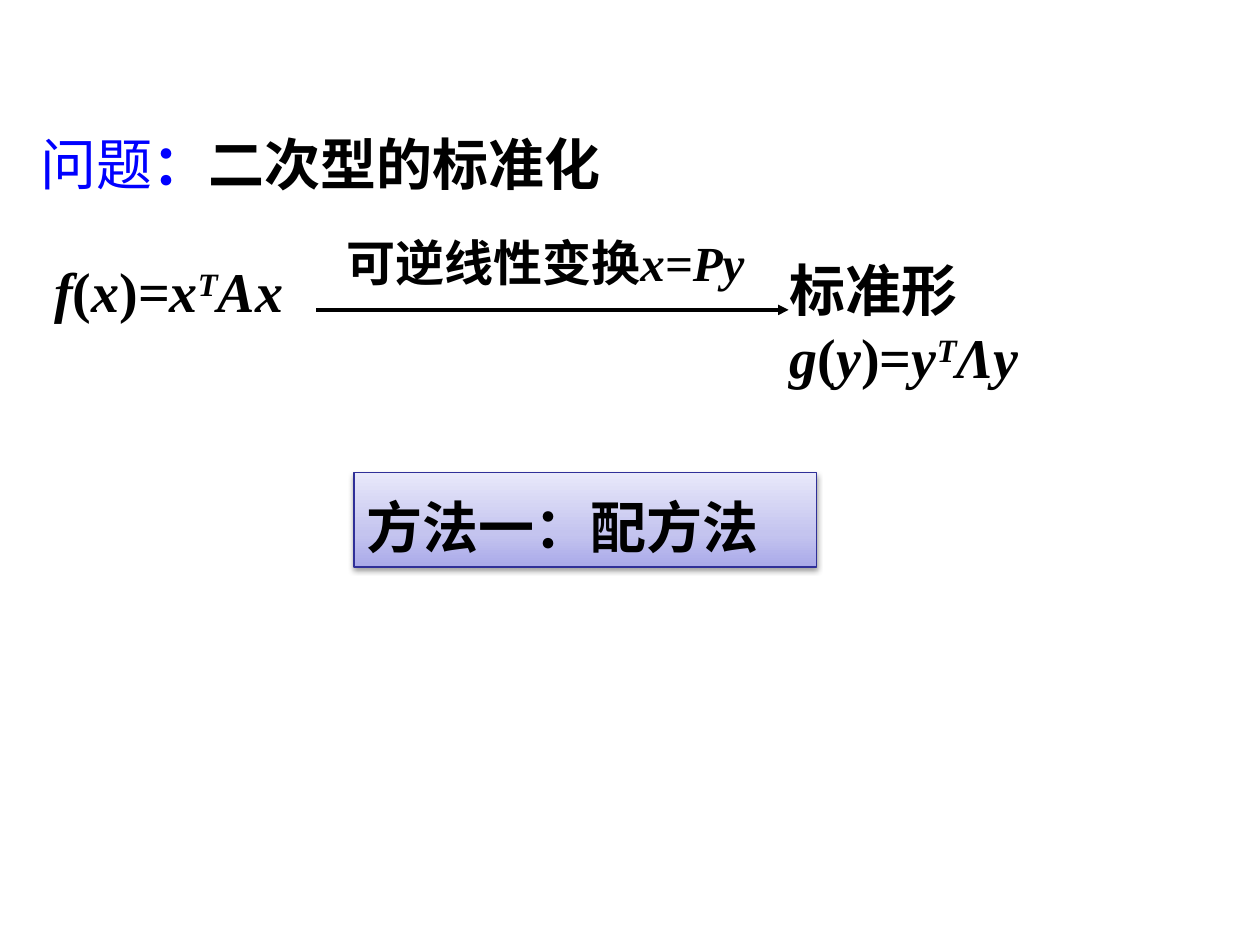
from copy import deepcopy

from lxml.etree import SubElement
from pptx import Presentation
from pptx.dml.color import RGBColor
from pptx.enum.lang import MSO_LANGUAGE_ID
from pptx.enum.shapes import MSO_CONNECTOR, MSO_SHAPE
from pptx.enum.text import MSO_ANCHOR, MSO_AUTO_SIZE, PP_ALIGN
from pptx.oxml.ns import qn
from pptx.util import Pt

COLORS = {"ink": "000000", "topic": "0000FF", "edge": "2F2F98"}
BUTTON_STOPS = [(0, "A9A9E9"), (0.35, "C4C4EF"), (1, "E8E8FA")]
ITALIC = {"italic": True}
SUPERSCRIPT = {"italic": True, "raised": True}


class QuadraticFormSlide:
    """Style and drawing methods for the quadratic form slide."""

    font_name = "Times New Roman"

    def __init__(self, deck):
        self.slide = deck.slides.add_slide(deck.slide_layouts[5])
        self.shapes = self.slide.shapes

    def color(self, name):
        return RGBColor.from_string(COLORS.get(name, name))

    def fill_text(self, shape, runs, size=32, align=PP_ALIGN.LEFT, spacing=1.0, wrap=True):
        frame = shape.text_frame
        layout = {"word_wrap": wrap, "auto_size": MSO_AUTO_SIZE.NONE,
                  "vertical_anchor": MSO_ANCHOR.TOP}
        for key, value in layout.items():
            setattr(frame, key, value)
        line = frame.paragraphs[0]
        line.alignment, line.line_spacing = align, spacing
        for words, style in runs:
            if words == "\n":
                line.add_line_break()
                continue
            run = line.add_run()
            run.text = words
            looks = {"name": self.font_name, "size": Pt(size), "bold": style.get("bold", True),
                     "italic": style.get("italic", False),
                     "language_id": MSO_LANGUAGE_ID.SIMPLIFIED_CHINESE}
            for key, value in looks.items():
                setattr(run.font, key, value)
            run.font.color.rgb = self.color(style.get("color", "ink"))
            if style.get("raised"):
                run.font._element.set("baseline", "30000")

    def title(self, box, runs):
        heading = self.shapes.title
        for key, value in zip(("left", "top", "width", "height"), box):
            setattr(heading, key, Pt(value))
        self.fill_text(heading, runs)

    def text(self, box, runs, shapes=None, **options):
        place = shapes or self.shapes
        self.fill_text(place.add_textbox(*map(Pt, box)), runs, **options)

    def button(self, box, runs):
        button = self.shapes.add_shape(MSO_SHAPE.RECTANGLE, *map(Pt, box))
        button.fill.gradient()
        button.fill.gradient_angle = 90
        first = button._element.spPr.find(".//" + qn("a:gs"))
        first.addnext(deepcopy(first))
        for stop, (position, shade) in zip(button.fill.gradient_stops, BUTTON_STOPS):
            stop.position = position
            stop.color.rgb = self.color(shade)
        button.line.color.rgb = self.color("edge")
        button.line.width = Pt(0.75)
        button.shadow.inherit = False
        effects = button._element.spPr.find(qn("a:effectLst"))
        shadow = SubElement(effects, qn("a:outerShdw"), blurRad=str(Pt(3.1)),
                            dist=str(Pt(1.6)), dir="5400000", rotWithShape="0")
        tint = SubElement(shadow, qn("a:srgbClr"), val=COLORS["ink"])
        SubElement(tint, qn("a:alpha"), val="38000")
        self.fill_text(button, runs, spacing=1.2)

    def arrow(self, ends, shapes):
        arrow = shapes.add_connector(MSO_CONNECTOR.STRAIGHT, *map(Pt, ends))
        arrow.line.color.rgb = self.color("ink")
        arrow.line.width = Pt(2)
        SubElement(arrow.line._get_or_add_ln(), qn("a:tailEnd"), type="triangle")
        SubElement(arrow._element.spPr, qn("a:effectLst"))

    def labelled_arrow(self, ends, box, runs):
        group = self.shapes.add_group_shape().shapes
        self.text(box, runs, group, size=28, align=PP_ALIGN.CENTER)
        self.arrow(ends, group)


def form(function, variable, matrix):
    return [(function, ITALIC), ("(", {}), (variable, ITALIC), (")=", {}),
            (variable, ITALIC), ("T", SUPERSCRIPT), (matrix + variable, ITALIC)]


def main():
    deck = Presentation()
    deck.slide_width, deck.slide_height = Pt(720), Pt(540)
    page = QuadraticFormSlide(deck)
    page.title((8.6, 70.6, 385.2, 46),
               [(" ", {}), ("问题", {"color": "topic", "bold": False}),
                ("：", {"color": "topic"}), ("二次型的标准化", {})])
    page.button((202.3, 270, 264.2, 54), [("方法一：配方法", {})])
    page.text((23.8, 143.3, 146.9, 45.4), form("f", "x", "A"), wrap=False)
    page.text((444.2, 142.6, 244.1, 45.4),
              [("标准形", {}), ("\n", {})] + form("g", "y", "Λ"))
    page.labelled_arrow((180.7, 177.1, 450.7, 177.1), (167.8, 129.6, 288, 41),
                        [("可逆线性变换", {}), ("x=Py", ITALIC)])
    deck.save("out.pptx")


if __name__ == "__main__":
    main()
